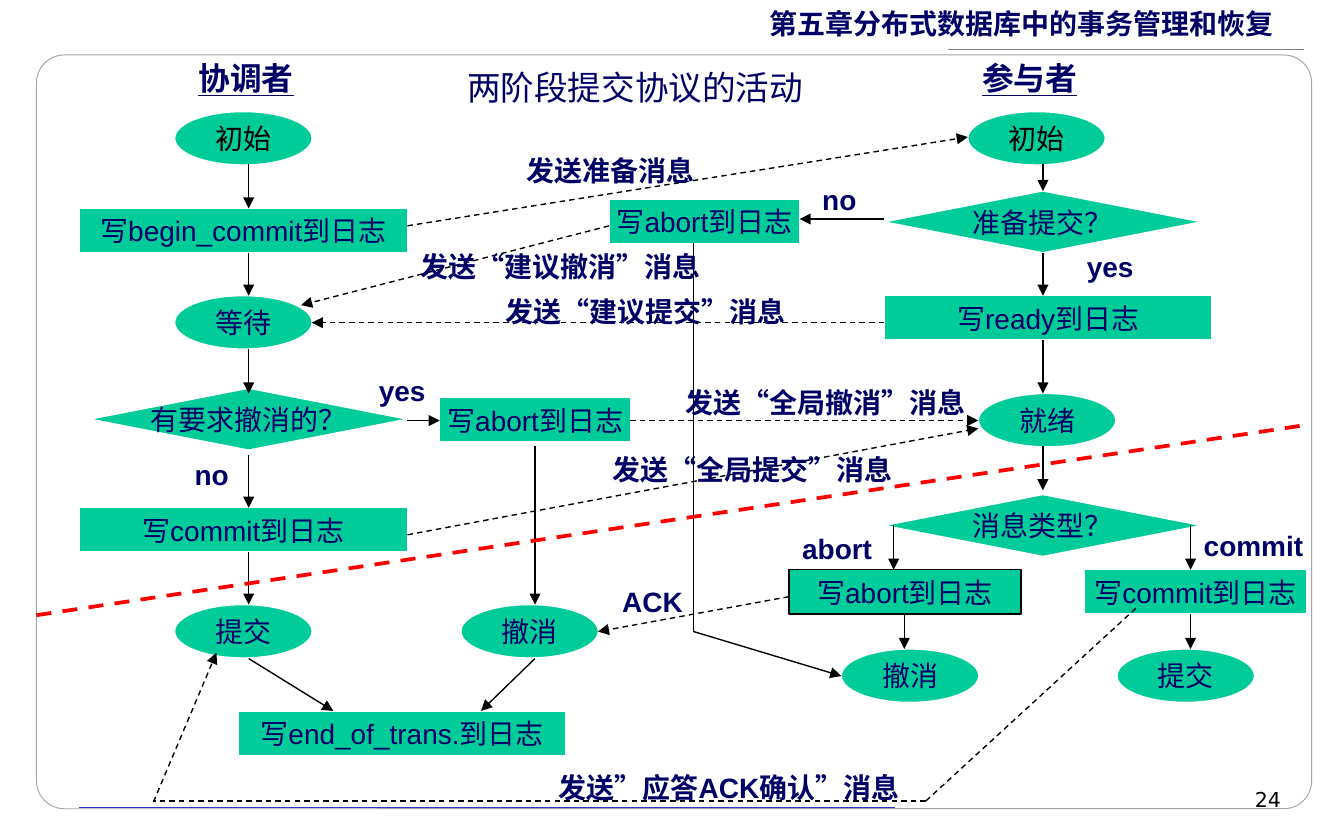
from lxml import etree
from pptx import Presentation
from pptx import util as u
from pptx.dml.color import RGBColor
from pptx.enum import dml, shapes, text
from pptx.oxml.ns import qn

NAVY = RGBColor(0x00, 0x00, 0x66)
GREEN = RGBColor(0x00, 0xCC, 0x99)
BLACK = RGBColor(0x00, 0x00, 0x00)
WHITE = RGBColor(0xFF, 0xFF, 0xFF)
RED = RGBColor(0xFF, 0x00, 0x00)
BLUE = RGBColor(0x33, 0x33, 0xCC)
GREY = RGBColor(0x7F, 0x7F, 0x7F)
FRAME = RGBColor(0xA5, 0xA5, 0xA5)
CJK = "Noto Sans CJK SC"

prs = Presentation()
prs.slide_width, prs.slide_height = u.Cm(25.4), u.Cm(15.88)
s = prs.slides.add_slide(prs.slide_layouts[6])


def write(sp, words, size=15, color=NAVY, font="Arial", bold=False, align=text.PP_ALIGN.LEFT):
    p = sp.text_frame.paragraphs[0]
    p.alignment = align
    r = p.add_run()
    r.text = words
    p.font.size, p.font.bold, p.font.name = u.Pt(size), bold, font
    p.font.color.rgb = color
    rPr = r._r.get_or_add_rPr()
    for tag, face in (("a:latin", font), ("a:ea", CJK)):
        etree.SubElement(rPr, qn(tag)).set("typeface", face)
    r.font.size, r.font.bold = u.Pt(size), bold
    r.font.color.rgb = color
    return p


def line(x1, y1, x2, y2, color=BLACK, width=0.75, dash=False, arrow=True):
    c = s.shapes.add_connector(shapes.MSO_CONNECTOR.STRAIGHT,
                               u.Cm(x1), u.Cm(y1), u.Cm(x2), u.Cm(y2))
    c.line.color.rgb, c.line.width = color, u.Pt(width)
    if dash:
        c.line.dash_style = dml.MSO_LINE.DASH
    if arrow:
        etree.SubElement(c.line._get_or_add_ln(), qn("a:tailEnd")).set("type", "triangle")
    etree.SubElement(c._element.spPr, qn("a:effectLst"))


# Page frame and rules
sp = s.shapes.add_shape(shapes.MSO_SHAPE.ROUNDED_RECTANGLE,
                        u.Cm(0.69), u.Cm(1.04), u.Cm(24.1), u.Cm(14.25))
sp.adjustments[0] = 0.037
sp.shadow.inherit = False
sp.fill.solid()
sp.fill.fore_color.rgb = WHITE
sp.line.color.rgb, sp.line.width = FRAME, u.Pt(0.5)
line(1.5, 15.27, 16.92, 15.27, BLUE, 0.25, arrow=False)
line(24.64, 0.94, 17.91, 0.94, GREY, arrow=False)

# States, log entries and decisions: left, top, words, width if not the usual one
OVAL, BOX, DIAMOND = (shapes.MSO_SHAPE.OVAL, shapes.MSO_SHAPE.RECTANGLE,
                      shapes.MSO_SHAPE.DIAMOND)
SIZES = {OVAL: (2.6, 1.01), BOX: (6.2, 0.84), DIAMOND: (6.0, 1.17)}
nodes = [
    (OVAL, 3.3, 2.11, "初始"),
    (BOX, 1.5, 3.94, "写begin_commit到日志"),
    (OVAL, 3.3, 5.59, "等待"),
    (DIAMOND, 1.7, 7.34, "有要求撤消的？"),
    (BOX, 1.5, 9.6, "写commit到日志"),
    (OVAL, 3.3, 11.43, "提交"),
    (BOX, 4.5, 13.44, "写end_of_trans.到日志"),
    (OVAL, 18.29, 2.11, "初始"),
    (DIAMOND, 16.71, 3.61, "准备提交？"),
    (BOX, 16.71, 5.59, "写ready到日志"),
    (OVAL, 18.49, 7.44, "就绪"),
    (DIAMOND, 16.71, 9.35, "消息类型？"),
    (BOX, 14.91, 10.77, "写abort到日志", 4.39),
    (BOX, 20.5, 10.77, "写commit到日志", 4.19),
    (OVAL, 21.11, 12.27, "提交"),
    (OVAL, 8.71, 11.43, "撤消"),
    (OVAL, 15.9, 12.27, "撤消"),
    (BOX, 8.31, 7.52, "写abort到日志", 3.61),
    (BOX, 11.51, 3.76, "写abort到日志", 3.61),
]
for kind, x, y, words, *width in nodes:
    w, h = SIZES[kind]
    w = width[0] if width else w
    sp = s.shapes.add_shape(kind, u.Cm(x), u.Cm(y), u.Cm(w), u.Cm(h))
    sp.shadow.inherit = False
    sp.fill.solid()
    sp.fill.fore_color.rgb = GREEN
    sp.line.color.rgb = BLACK if w == 4.39 else WHITE
    sp.line.width = u.Pt(0.75)
    tf = sp.text_frame
    tf.word_wrap = False
    tf.vertical_anchor = text.MSO_ANCHOR.MIDDLE
    write(sp, words, color=BLACK if words == "初始" else NAVY, align=text.PP_ALIGN.CENTER)

# Vertical steps: column, then start and end heights
columns = {
    4.7: [(3.1, 3.94), (4.78, 5.59), (6.6, 7.44), (8.61, 9.6), (10.44, 11.43)],
    10.11: [(8.43, 11.43)],
    19.71: [(3.1, 3.61), (4.78, 5.59), (6.43, 7.44), (8.43, 9.27)],
    16.89: [(9.93, 10.77)],
    17.09: [(11.61, 12.27)],
    22.5: [(9.93, 10.77), (11.61, 12.27)],
}
for x, steps in columns.items():
    for top, bottom in steps:
        line(x, top, x, bottom)

# Other steps
for ends in [(4.7, 12.45, 6.3, 13.44), (7.7, 7.95, 8.31, 7.95), (10.11, 12.45, 9.09, 13.44),
             (16.71, 4.14, 15.11, 4.14), (13.11, 11.94, 15.9, 12.78)]:
    line(*ends)
line(13.11, 4.6, 13.11, 11.94, arrow=False)

# Messages between the two sides
for ends in [(7.7, 4.27, 18.29, 2.59), (11.51, 4.27, 5.69, 5.77), (16.71, 6.1, 5.89, 6.1),
             (11.91, 7.95, 18.49, 7.95), (7.7, 10.11, 18.49, 8.1),
             (14.91, 11.28, 11.3, 11.94), (2.9, 15.16, 4.09, 12.34)]:
    line(*ends, dash=True)
line(17.5, 15.14, 2.9, 15.14, dash=True, arrow=False)
line(17.5, 15.14, 21.51, 11.46, dash=True, arrow=False)

# Labels: left, top, width, words
labels = [
    (3.43, 8.53, 1.3, "no"), (15.29, 3.33, 1.3, "no"),
    (20.29, 4.6, 1.6, "yes"), (6.91, 6.93, 1.6, "yes"),
    (14.91, 9.93, 2.21, "abort"), (22.5, 9.86, 2.9, "commit"),
    (9.7, 2.77, 4.39, "发送准备消息"),
    (7.7, 4.6, 5.8, "发送“建议撤消”消息"),
    (9.3, 5.44, 6.2, "发送“建议提交”消息"),
    (12.7, 7.16, 5.8, "发送“全局撤消”消息"),
    (11.33, 8.43, 5.97, "发送“全局提交”消息"),
    (11.51, 10.92, 2.18, "ACK"),
    (10.31, 14.45, 7.21, "发送”应答ACK确认”消息"),
]
styles = [(*label, dict(bold=True)) for label in labels]

# Headings, title, chapter and page number
heading = dict(size=17, bold=True)
styles += [
    (3.5, 0.99, 2.4, "协调者", heading),
    (18.31, 0.99, 2.4, "参与者", heading),
    (6.71, 1.14, 10.59, "两阶段提交协议的活动",
     dict(size=18, font="Times New Roman", align=text.PP_ALIGN.CENTER)),
    (14.3, 0.08, 11.1, "第五章分布式数据库中的事务管理和恢复", dict(font=CJK, bold=True)),
    (18.11, 14.76, 6.35, "24",
     dict(size=11, color=BLACK, font="DejaVu Sans", align=text.PP_ALIGN.RIGHT)),
]
for x, y, w, words, style in styles:
    sp = s.shapes.add_textbox(u.Cm(x), u.Cm(y), u.Cm(w), u.Cm(0.86))
    sp.text_frame.word_wrap = True
    p = write(sp, words, **style)
    if style is heading:
        p.runs[0].font.underline = True
    if style.get("font") == CJK:
        p.line_spacing = 0.9

# Boundary between the two phases
line(0.69, 11.63, 24.71, 8.03, RED, 2, dash=True, arrow=False)

prs.save("out.pptx")
